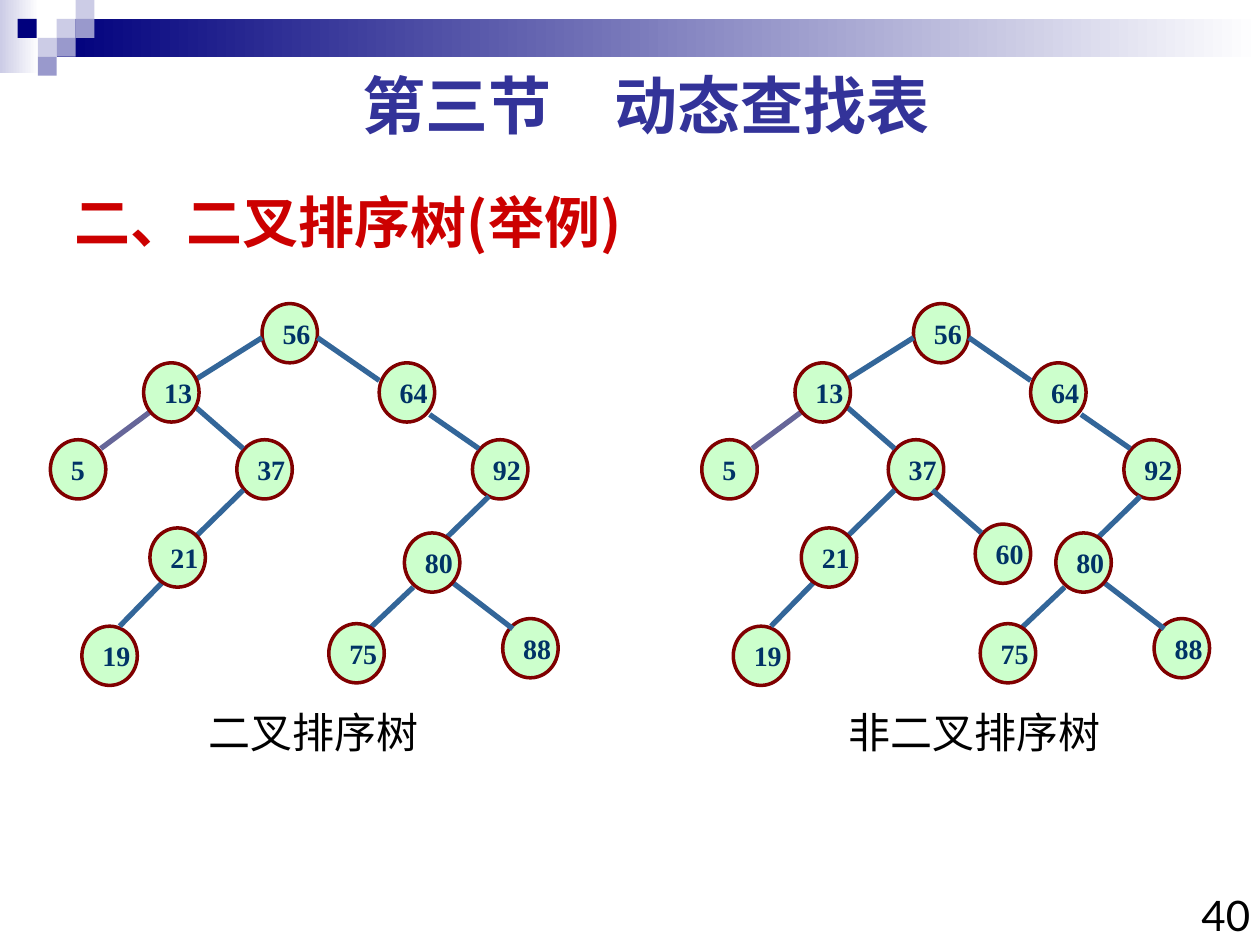
from lxml import etree
from pptx import Presentation
from pptx.dml.color import RGBColor
from pptx.enum.shapes import MSO_CONNECTOR, MSO_SHAPE
from pptx.enum.text import MSO_ANCHOR, PP_ALIGN
from pptx.oxml.ns import qn
from pptx.util import Inches, Pt

RECT, OVAL = MSO_SHAPE.RECTANGLE, MSO_SHAPE.OVAL
STRAIGHT = MSO_CONNECTOR.STRAIGHT
MIDDLE = MSO_ANCHOR.MIDDLE
LEFT, CENTER, RIGHT = PP_ALIGN.LEFT, PP_ALIGN.CENTER, PP_ALIGN.RIGHT

COLORS = {
    "navy": "00007D", "lavender": "CCCCE6", "violet": "9999CC", "white": "FFFFFF",
    "heading": "333399", "red": "CC0000", "black": "000000",
    "node": "CCFFCC", "outline": "800000", "label": "003366",
    "edge": "336699", "left_edge": "666699",
}
CJK = "Noto Sans CJK SC"

GRADIENT_BARS = [((0, 0, 0.31, 0.58), "lavender"), ((0.45, 0.15, 9.55, 0.3), "navy")]
SQUARE = 0.15
SQUARES = [
    (0.45, 0.15, "lavender"), (0.6, 0, "lavender"), (0.6, 0.15, "violet"),
    (0.3, 0.3, "lavender"), (0.14, 0.15, "navy"), (0.45, 0.3, "violet"),
    (0.3, 0.45, "violet"),
]

TITLE = "二、二叉排序树(举例)"
TEXTS = [
    ("第三节　动态查找表", (0.5, 0.48, 9.25, 0.7), 36, True, "heading", CENTER),
    ("二叉排序树", (1.32, 5.56, 2.33, 0.5), 24, False, "black", CENTER),
    ("非二叉排序树", (6.57, 5.56, 2.33, 0.5), 24, False, "black", CENTER),
    ("40", (9.35, 7.01, 0.67, 0.59), 24, False, "black", RIGHT),
]

NODE_W, NODE_H = 0.44, 0.47
BACK_NODES = [
    ("56", 2.08, 2.41), ("64", 3.01, 2.88), ("5", 0.4, 3.49), ("92", 3.75, 3.49),
    ("37", 1.88, 3.49), ("88", 3.99, 4.91), ("19", 0.65, 4.97),
]
EDGES = [
    (2.08, 2.68, 1.54, 3.02, "edge"), (1.19, 3.27, 0.8, 3.56, "left_edge"),
    (2.52, 2.68, 3.01, 3.02, "edge"), (1.54, 3.22, 1.93, 3.56, "edge"),
    (1.93, 3.89, 1.45, 4.36, "edge"), (3.41, 3.29, 3.8, 3.56, "edge"),
    (3.88, 3.94, 3.51, 4.3, "edge"), (3.6, 4.63, 4.07, 4.99, "edge"),
    (1.34, 4.57, 0.95, 4.97, "edge"), (3.28, 4.66, 2.9, 5.02, "edge"),
]
FRONT_NODES = [("80", 3.21, 4.23), ("21", 1.19, 4.19), ("13", 1.14, 2.88), ("75", 2.61, 4.95)]
EXTRA_NODES = [("60", 2.57, 4.16)]
EXTRA_EDGES = [(2.23, 3.89, 2.62, 4.23, "edge")]
BASE_TREE = [(BACK_NODES, EDGES), (FRONT_NODES, [])]
TREES = [(0, BASE_TREE), (5.17, BASE_TREE + [(EXTRA_NODES, EXTRA_EDGES)])]


def rgb(name):
    return RGBColor.from_string(COLORS[name])


def inches(values):
    return [Inches(v) for v in values]


def write(tf, text, size, bold, color, align, font):
    p = tf.paragraphs[0]
    p.alignment = align
    r = p.add_run()
    r.text = text
    r.font.size, r.font.bold, r.font.name = Pt(size), bold, font
    r.font.color.rgb = rgb(color)
    etree.SubElement(r.font._element, qn("a:ea"), typeface=CJK)


def add_block(s, kind, box):
    sp = s.shapes.add_shape(kind, *inches(box))
    sp.shadow.inherit = False
    sp.line.fill.background()
    return sp


def add_node(s, text, x, y):
    sp = add_block(s, OVAL, (x, y, NODE_W, NODE_H))
    sp.fill.solid()
    sp.fill.fore_color.rgb = rgb("node")
    sp.line.color.rgb = rgb("outline")
    sp.line.width = Pt(2)
    tf = sp.text_frame
    tf.word_wrap = False
    tf.vertical_anchor = MIDDLE
    write(tf, text, 16, True, "label", LEFT, "Times New Roman")


def add_edge(s, x1, y1, x2, y2, color):
    line = s.shapes.add_connector(STRAIGHT, *inches((x1, y1, x2, y2)))
    line.line.color.rgb = rgb(color)
    line.line.width = Pt(3)
    etree.SubElement(line._element.spPr, qn("a:effectLst"))


def main():
    prs = Presentation()
    prs.slide_width, prs.slide_height = Inches(10), Inches(7.5)
    s = prs.slides.add_slide(prs.slide_layouts[5])

    for box, color in GRADIENT_BARS:
        sp = add_block(s, RECT, box)
        sp.fill.gradient()
        sp.fill.gradient_angle = 0
        for stop, name in zip(sp.fill.gradient_stops, (color, "white")):
            stop.color.rgb = rgb(name)
    for x, y, color in SQUARES:
        sp = add_block(s, RECT, (x, y, SQUARE, SQUARE))
        sp.fill.solid()
        sp.fill.fore_color.rgb = rgb(color)

    title = s.shapes.title
    title.left, title.top, title.width, title.height = inches((0.49, 1.38, 6.25, 0.75))
    title.text_frame.vertical_anchor = MIDDLE
    write(title.text_frame, TITLE, 32, True, "red", LEFT, CJK)

    for text, box, size, bold, color, align in TEXTS:
        tf = s.shapes.add_textbox(*inches(box)).text_frame
        tf.word_wrap = True
        write(tf, text, size, bold, color, align, "Lato")

    for dx, layers in TREES:
        for nodes, edges in layers:
            for text, x, y in nodes:
                add_node(s, text, x + dx, y)
            for x1, y1, x2, y2, color in edges:
                add_edge(s, x1 + dx, y1, x2 + dx, y2, color)

    prs.save("out.pptx")


if __name__ == "__main__":
    main()
